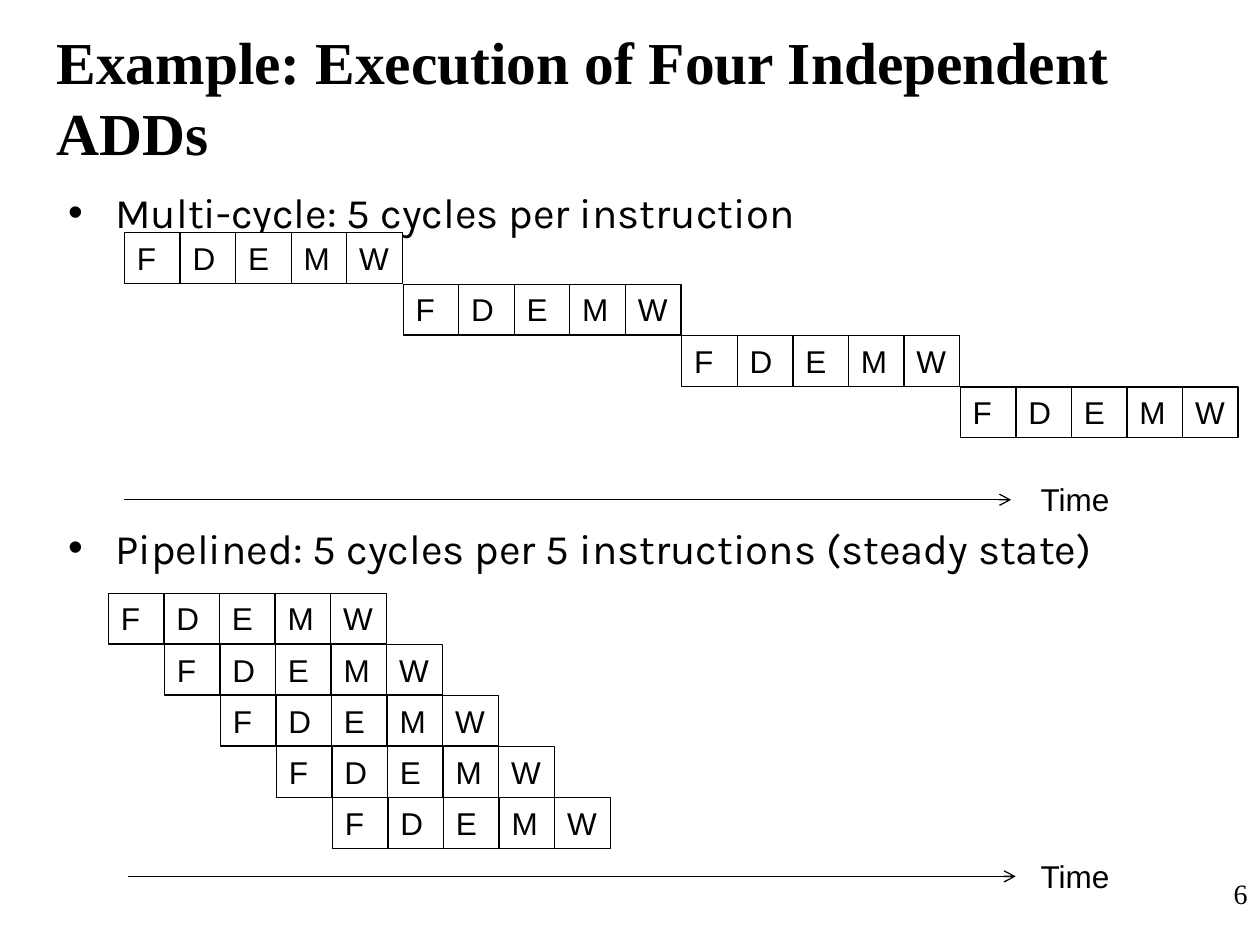
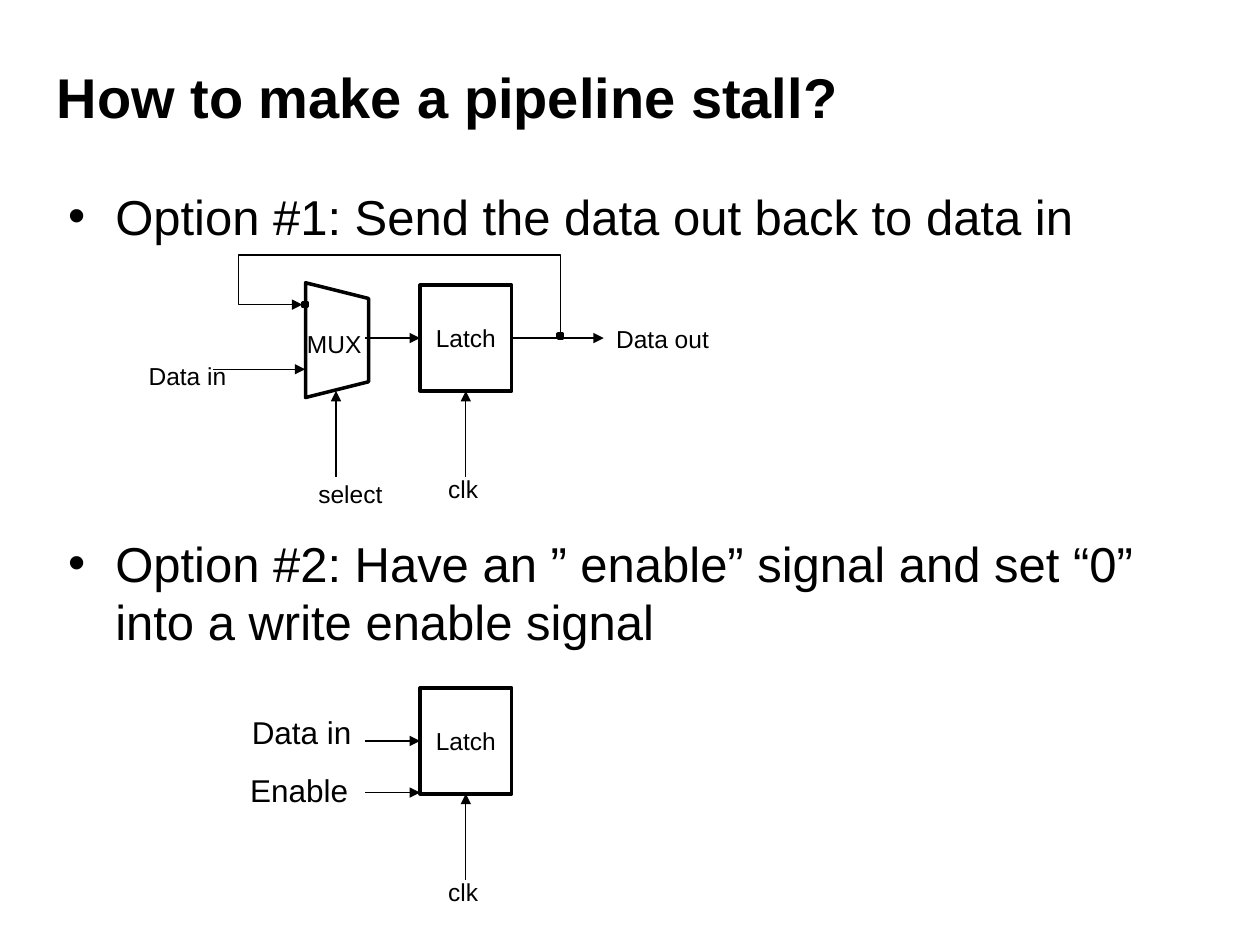
from lxml.etree import SubElement
from pptx import Presentation
from pptx.dml.color import RGBColor
from pptx.enum.shapes import MSO_CONNECTOR, MSO_SHAPE
from pptx.enum.text import MSO_ANCHOR, MSO_AUTO_SIZE, PP_ALIGN
from pptx.oxml.ns import qn
from pptx.util import Pt

COLORS = {"ink": "000000", "paper": "FFFFFF"}
SANS, SERIF, BODY = "Arial", "Times New Roman", "Karla"
THIN, THICK = 0.75, 2
STAGES = "FDEMW"
CELL_WIDTH, CELL_HEIGHT = 31.75, 29
LATCH_LEFT, LATCH_WIDTH, LATCH_HEIGHT = 240, 52.4, 60.4


def color(name):
    return RGBColor.from_string(COLORS[name])


def points(*lengths):
    return [Pt(length) for length in lengths]


class SlideBuilder:
    """Holds the shared style and the slide being filled."""

    def __init__(self, deck):
        self.deck = deck
        self.page = None

    def new_page(self):
        self.page = self.deck.slides.add_slide(self.deck.slide_layouts[1])

    def format_text(self, frame, size, font=SANS, bold=False, align=PP_ALIGN.LEFT):
        for para in frame.paragraphs:
            para.alignment = align
            for span in para.runs:
                span.font.size = Pt(size)
                span.font.name = font
                span.font.bold = bold
                span.font.color.rgb = color("ink")

    def place(self, box, left, top, width, height):
        box.left, box.top, box.width, box.height = points(left, top, width, height)
        box.text_frame.auto_size = MSO_AUTO_SIZE.NONE

    def title(self, text, size, font):
        box = self.page.shapes.title
        self.place(box, 25.2, 25.2, 648, 59.8)
        box.text_frame.text = text
        box.text_frame.vertical_anchor = MSO_ANCHOR.MIDDLE
        self.format_text(box.text_frame, size, font, bold=True)

    def bullets(self, items, size, font, gap):
        box = self.page.placeholders[1]
        self.place(box, 31.7, 103, 657.4, 394.6)
        frame = box.text_frame
        frame.text = "\n".join(items)
        for para in frame.paragraphs[1:]:
            para.space_before = Pt(gap)
        self.format_text(frame, size, font)

    def page_number(self, text):
        box = self.page.shapes.add_textbox(*points(552.2, 497.5, 167.8, 36))
        box.text_frame.word_wrap = True
        box.text_frame.text = text
        self.format_text(box.text_frame, 16, SERIF, align=PP_ALIGN.RIGHT)

    def label(self, text, left, top, width, size=14):
        box = self.page.shapes.add_textbox(*points(left, top, width, size * 1.15 + 8))
        box.text_frame.word_wrap = False
        box.text_frame.auto_size = MSO_AUTO_SIZE.SHAPE_TO_FIT_TEXT
        box.text_frame.text = text
        self.format_text(box.text_frame, size)

    def shape(self, kind, left, top, width, height, fill="paper", weight=THICK, parent=None):
        shapes = (parent or self.page).shapes
        box = shapes.add_shape(kind, *points(left, top, width, height))
        box.shadow.inherit = False
        if fill:
            box.fill.solid()
            box.fill.fore_color.rgb = color(fill)
        else:
            box.fill.background()
        box.line.color.rgb = color("ink")
        box.line.width = Pt(weight)
        return box

    def instruction(self, left, top):
        """One row with a cell for each pipeline stage."""
        group = self.page.shapes.add_group_shape()
        for index, stage in enumerate(STAGES):
            cell = self.shape(MSO_SHAPE.RECTANGLE, left + index * CELL_WIDTH, top,
                              CELL_WIDTH, CELL_HEIGHT, weight=THIN, parent=group)
            cell.text_frame.text = stage
            cell.text_frame.vertical_anchor = MSO_ANCHOR.TOP
            self.format_text(cell.text_frame, 18)

    def finish_line(self, line, head):
        line.line.color.rgb = color("ink")
        line.line.width = Pt(THIN)
        SubElement(line.line._get_or_add_ln(), qn("a:tailEnd"), type=head)
        SubElement(line._element.spPr, qn("a:effectLst"))

    def arrow(self, start, end, head="triangle", begin_at=None, end_at=None):
        line = self.page.shapes.add_connector(MSO_CONNECTOR.STRAIGHT, *points(*start, *end))
        if begin_at:
            line.begin_connect(*begin_at)
        if end_at:
            line.end_connect(*end_at)
        self.finish_line(line, head)

    def feedback_arrow(self, start, end, adjustments):
        """Elbow that rises from start, runs left past end and turns back into it."""
        width, height = start[1] - end[1], start[0] - end[0]
        left = (start[0] + end[0] - width) / 2
        top = (start[1] + end[1] - height) / 2
        line = self.page.shapes.add_connector(
            MSO_CONNECTOR.ELBOW, *points(left, top, left + width, top + height))
        properties = line._element.spPr
        frame = properties.find(qn("a:xfrm"))
        frame.set("rot", str(270 * 60000))
        frame.set("flipV", "1")
        geometry = properties.find(qn("a:prstGeom"))
        geometry.set("prst", "bentConnector4")
        guides = geometry.find(qn("a:avLst"))
        if guides is None:
            guides = SubElement(geometry, qn("a:avLst"))
        for number, value in enumerate(adjustments, 1):
            SubElement(guides, qn("a:gd"), name=f"adj{number}", fmla=f"val {value}")
        self.finish_line(line, "triangle")

    def time_axis(self, left, y):
        self.arrow((left, y), (left + 507, y), head="arrow")
        self.label("Time", 587.5, y - 14.8, 54, 18)

    def latch(self, top):
        """Latch with its data input and its clock."""
        box = self.shape(MSO_SHAPE.RECTANGLE, LATCH_LEFT, top, LATCH_WIDTH, LATCH_HEIGHT)
        box.text_frame.text = "Latch"
        box.text_frame.vertical_anchor = MSO_ANCHOR.MIDDLE
        self.format_text(box.text_frame, 14, align=PP_ALIGN.CENTER)
        middle_x, middle_y = LATCH_LEFT + LATCH_WIDTH / 2, top + LATCH_HEIGHT / 2
        bottom = top + LATCH_HEIGHT
        self.arrow((208.8, middle_y), (LATCH_LEFT, middle_y), end_at=(box, 1))
        self.arrow((middle_x, bottom + 49.3), (middle_x, bottom), end_at=(box, 2))
        self.label("clk", 249, bottom + 43.8, 31.7)
        return box


def build_execution_page(builder):
    builder.new_page()
    builder.title("Example: Execution of Four Independent ADDs", 34, SERIF)
    builder.bullets(["Multi-cycle: 5 cycles per instruction",
                     "Pipelined: 5 cycles per 5 instructions (steady state)"],
                    24, BODY, 163)
    builder.page_number("6")

    # Multi-cycle: each instruction waits for the one before
    for row in range(4):
        builder.instruction(71.2 + row * 159.2, 133 + row * 29.4)
    builder.time_axis(70.8, 285.6)

    # Pipelined: each instruction starts one stage later
    for row in range(5):
        builder.instruction(62 + row * 32, 339 + row * 29.2)
    builder.time_axis(73.4, 500.8)


def build_stall_page(builder):
    builder.new_page()
    builder.title("How to make a pipeline stall?", 32, SANS)
    builder.bullets(["Option #1: Send the data out back to data in",
                     "Option #2: Have an ” enable” signal and set “0” into a write enable signal"],
                    28, SANS, 164.4)

    # Option 1: multiplexer in front of the latch
    latch = builder.latch(163)
    mux = builder.shape(MSO_SHAPE.TRAPEZOID, 159.8, 176.4, 65.6, 36, fill=None)
    mux.rotation = 90
    builder.label("MUX", 168.3, 184.4, 46.4)
    builder.arrow((121.7, 211), (174.4, 211))
    builder.label("Data in", 77.8, 202.7, 59)
    builder.arrow((192, 272.7), (192, 223.4))
    builder.label("select", 174.8, 270.4, 51)
    builder.arrow((292.4, 193.2), (345, 193.2), begin_at=(latch, 3))
    builder.label("Data out", 345, 181.4, 67.7)

    # Feedback from the output to the multiplexer
    for left, top in ((318.8, 191), (172.8, 172.8)):
        builder.shape(MSO_SHAPE.RECTANGLE, left, top, 2.7, 2.2, fill="ink")
    builder.feedback_arrow((320.2, 191), (172.8, 174.1), (267800, 124700))

    # Option 2: latch with a write enable
    builder.latch(393.2)
    builder.arrow((208.8, 452.9), (LATCH_LEFT, 452.9))
    builder.label("Data in", 136.8, 404.2, 77, 18)
    builder.label("Enable", 135.8, 437.3, 71.3, 18)


def main():
    deck = Presentation()
    deck.slide_width, deck.slide_height = points(720, 540)
    builder = SlideBuilder(deck)
    build_execution_page(builder)
    build_stall_page(builder)
    deck.save("out.pptx")


if __name__ == "__main__":
    main()
